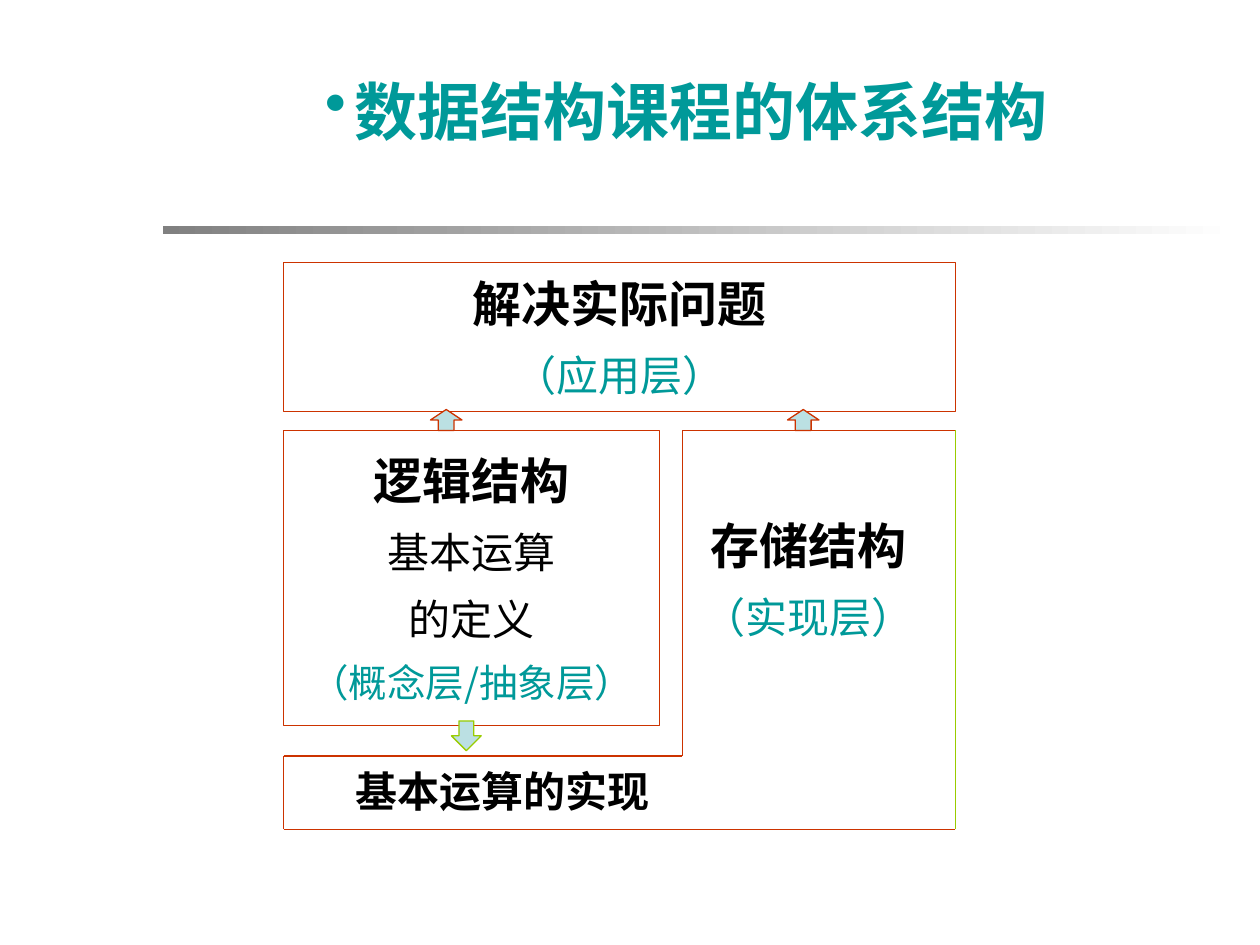
from pptx import Presentation
from pptx.dml.color import RGBColor
from pptx.enum.shapes import MSO_CONNECTOR, MSO_SHAPE
from pptx.enum.text import MSO_ANCHOR, PP_ALIGN
from pptx.oxml.ns import qn
from pptx.util import Pt
from lxml import etree

RECT, UP, DOWN = MSO_SHAPE.RECTANGLE, MSO_SHAPE.UP_ARROW, MSO_SHAPE.DOWN_ARROW
STRAIGHT = MSO_CONNECTOR.STRAIGHT
MIDDLE = MSO_ANCHOR.MIDDLE
LEFT, CENTER = PP_ALIGN.LEFT, PP_ALIGN.CENTER

TEAL = RGBColor(0x00, 0x99, 0x99)
BLACK = RGBColor(0, 0, 0)
WHITE = RGBColor(255, 255, 255)
GRAY = RGBColor(0x80, 0x80, 0x80)
RED = RGBColor(0xCC, 0x33, 0x00)
GREEN = RGBColor(0x99, 0xCC, 0x00)
PALE = RGBColor(0xBB, 0xE0, 0xE3)

SANS, SERIF = "Noto Sans CJK SC", "Times New Roman"
GAP = 0.4  # space between paragraphs, as a share of the text size


def write(frame, text, size=24, color=BLACK, bold=False, font=SERIF,
          align=CENTER, bullet=None, first=False):
    """Write one paragraph into a text frame."""
    para = frame.paragraphs[0] if first else frame.add_paragraph()
    para.alignment = align
    para.space_before = Pt(0 if first else round(size * GAP, 1))
    if bullet:
        props = para._p.get_or_add_pPr()
        etree.SubElement(props, qn("a:buChar")).set("char", bullet)
    run = para.add_run()
    run.text = text
    style = run.font
    style.name, style.size, style.bold = font, Pt(size), bold
    style.color.rgb = color
    east = etree.SubElement(run._r.get_or_add_rPr(), qn("a:ea"))
    east.set("typeface", SANS)


class Board:
    """The current slide and its common line style."""

    def __init__(self, slide, width=0.75):
        self.shapes = slide.shapes
        self.width = Pt(width)

    def shape(self, kind, box, line=RED, fill=None):
        item = self.shapes.add_shape(kind, *map(Pt, box))
        item.shadow.inherit = False
        item.line.color.rgb = line
        item.line.width = self.width
        if fill is None:
            item.fill.background()
        else:
            item.fill.solid()
            item.fill.fore_color.rgb = fill
        return item

    def fade(self, box, start, end):
        bar = self.shape(RECT, box, line=end)
        bar.line.width = Pt(0.11)
        bar.fill.gradient()
        bar.fill.gradient_angle = 0
        for stop, color, place in zip(bar.fill.gradient_stops, (start, end), (0, 1)):
            stop.color.rgb = color
            stop.position = place

    def text(self, box, lines, framed=False, **style):
        if framed:
            item = self.shape(RECT, box)
        else:
            item = self.shapes.add_textbox(*map(Pt, box))
        frame = item.text_frame
        frame.word_wrap = True
        frame.vertical_anchor = MIDDLE
        for i, (words, extra) in enumerate(lines):
            write(frame, words, first=i == 0, **{**style, **extra})

    def line(self, start, end, color=RED):
        item = self.shapes.add_connector(STRAIGHT, *map(Pt, start + end))
        item.line.color.rgb = color
        item.line.width = self.width
        etree.SubElement(item._element.spPr, qn("a:effectLst"))


def main():
    deck = Presentation()
    deck.slide_width, deck.slide_height = Pt(720), Pt(540)
    board = Board(deck.slides.add_slide(deck.slide_layouts[6]))
    head = {"size": 28, "bold": True}
    layer = {"color": TEAL}

    # Title and rule
    board.fade((92.5, 128.5, 614, 5.5), GRAY, WHITE)
    board.text((96.5, 24.5, 595.5, 77), [("数据结构课程的体系结构", {})],
               size=36, color=TEAL, bold=True, font=SANS, bullet="•")

    # Edges shared by the layers
    left, inner, right = 162, 390, 546
    top, step, base = 246, 432, 474

    # Concept, storage and application layers
    board.text((left, top, 215, 168.5), [
        ("逻辑结构", head),
        ("基本运算", {}),
        ("的定义", {}),
        ("（概念层/抽象层）", {"size": 22, **layer}),
    ], framed=True, font=SANS)
    board.text((inner, 288, 144, 85), [("存储结构", head), ("（实现层）", layer)])
    board.text((left, 150, right - left, 85),
               [("解决实际问题", head), ("（应用层）", layer)], framed=True)

    # Stepped outline of the storage layer
    corners = [(right, base), (left, base), (left, step),
               (inner, step), (inner, top), (right, top)]
    for start, end in zip(corners, corners[1:]):
        board.line(start, end)
    board.line(corners[-1], corners[0], GREEN)
    board.text((196, 434, 210, 36), [("基本运算的实现", {})], bold=True, align=LEFT)

    # Arrows between the layers
    for x in (246, 450):
        board.shape(UP, (x, 234, 18, 12), fill=PALE)
    board.shape(DOWN, (258, 412, 17, 17), line=GREEN, fill=PALE)

    deck.save("out.pptx")


if __name__ == "__main__":
    main()
